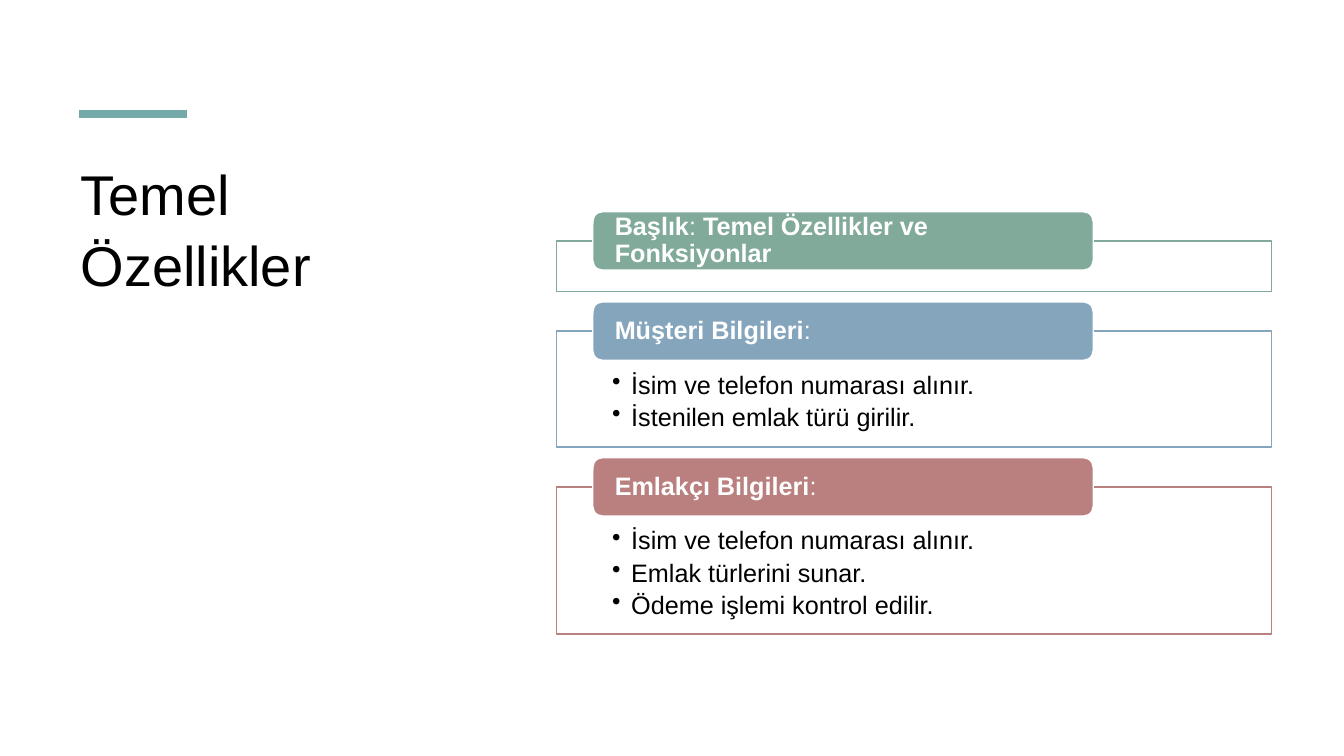
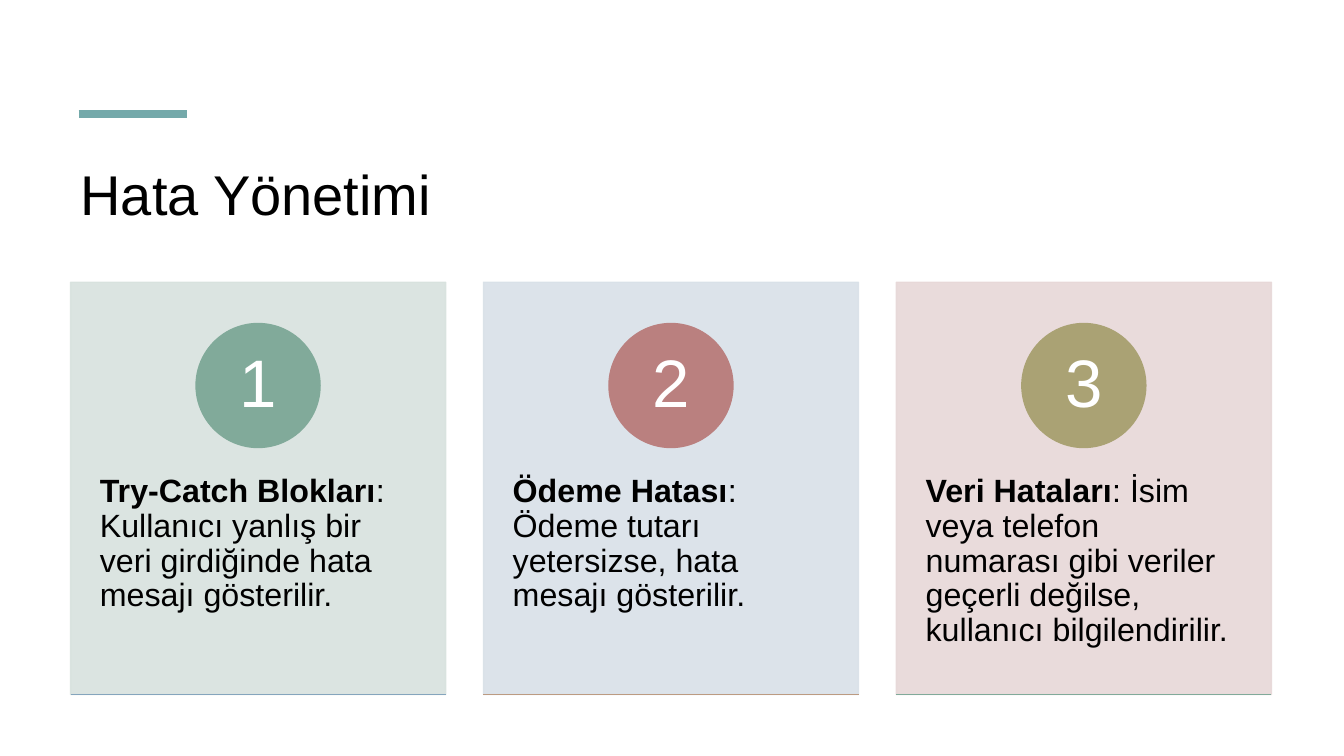
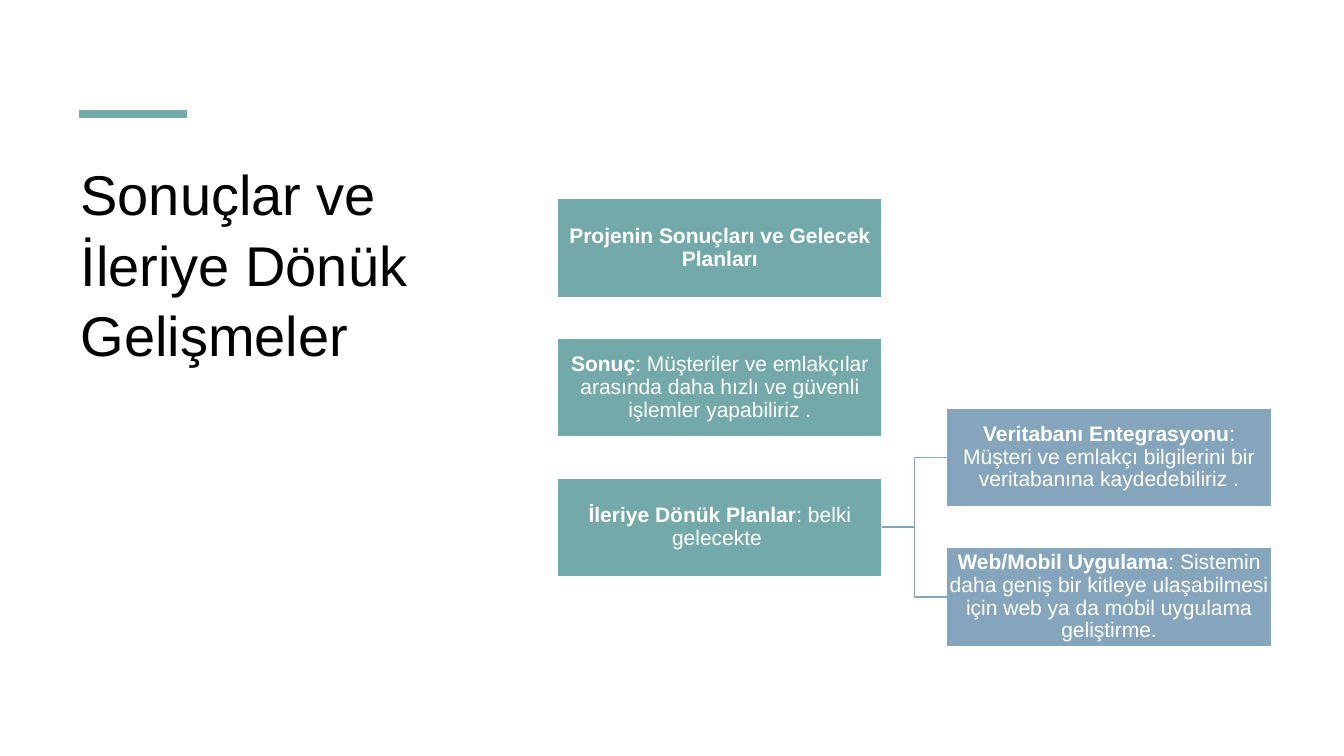
from lxml import etree
from pptx import Presentation
from pptx.dml.color import RGBColor
from pptx.enum.shapes import MSO_CONNECTOR, MSO_SHAPE
from pptx.enum.text import MSO_ANCHOR, PP_ALIGN
from pptx.oxml.ns import qn
from pptx.util import Inches, Pt

RECT, ROUND, OVAL = MSO_SHAPE.RECTANGLE, MSO_SHAPE.ROUNDED_RECTANGLE, MSO_SHAPE.OVAL
STRAIGHT, ELBOW = MSO_CONNECTOR.STRAIGHT, MSO_CONNECTOR.ELBOW
TOP, MIDDLE = MSO_ANCHOR.TOP, MSO_ANCHOR.MIDDLE
LEFT, CENTER = PP_ALIGN.LEFT, PP_ALIGN.CENTER

FONT = "Arial"
COLORS = {
    "text": "000000", "white": "FFFFFF", "teal": "74A9AA", "green": "81AA9A",
    "blue": "85A5BD", "red": "BA807F", "olive": "AAA274", "tan": "BC9B82",
    "pale_green": "D8E2DE", "pale_blue": "D9E1E8", "pale_red": "E7D8D8",
}
RIGHT_SITE, LEFT_SITE = 3, 1


def rgb(name):
    return RGBColor.from_string(COLORS[name])


def write(shape, paragraphs, size, color="white", insets=(0.1, 0.05, 0.1, 0.05),
          anchor=MIDDLE, align=LEFT, spacing=0.9, bullets=False):
    """Each paragraph is a plain string, or a tuple of runs: bold, regular, bold..."""
    tf = shape.text_frame
    tf.word_wrap = True
    tf.vertical_anchor = anchor
    tf.margin_left, tf.margin_top, tf.margin_right, tf.margin_bottom = map(Inches, insets)
    for i, content in enumerate(paragraphs):
        p = tf.add_paragraph() if i else tf.paragraphs[0]
        p.alignment, p.line_spacing = align, spacing
        p.font.name, p.font.size = FONT, Pt(size)
        p.font.color.rgb = rgb(color)
        if isinstance(content, str):
            p.add_run().text = content
        else:
            for j, text in enumerate(content):
                r = p.add_run()
                r.text, r.font.bold = text, j % 2 == 0
        if bullets:
            p.space_after = Pt(3.5)
            pPr = p._p.get_or_add_pPr()
            pPr.set("marL", str(Inches(0.19)))
            pPr.set("indent", str(-Inches(0.19)))
            bullet = etree.Element(qn("a:buChar"), char="•")
            pPr.find(qn("a:defRPr")).addprevious(bullet)


def add_box(s, kind, x, y, w, h, fill, line):
    box = s.shapes.add_shape(kind, Inches(x), Inches(y), Inches(w), Inches(h))
    box.shadow.inherit = False
    box.fill.solid()
    box.fill.fore_color.rgb = rgb(fill)
    box.line.color.rgb = rgb(line)
    box.line.width = Pt(1)
    return box


def set_opacity(shape, percent):
    for clr in shape._element.spPr.iter(qn("a:srgbClr")):
        etree.SubElement(clr, qn("a:alpha"), val=str(percent * 1000))


def add_line(s, kind, x1, y1, x2, y2, color, width=1):
    line = s.shapes.add_connector(kind, Inches(x1), Inches(y1), Inches(x2), Inches(y2))
    line.line.color.rgb = rgb(color)
    line.line.width = Pt(width)
    etree.SubElement(line._element.spPr, qn("a:effectLst"))
    return line


def add_titled_slide(prs, title, w, h):
    s = prs.slides.add_slide(prs.slide_layouts[6])
    add_line(s, STRAIGHT, 0.78, 1.13, 1.85, 1.13, "teal", 6)
    box = s.shapes.add_textbox(Inches(0.7), Inches(1.5), Inches(w), Inches(h))
    write(box, [title], 40, "text", anchor=TOP, spacing=1.05)
    return s


def add_section(s, x, y, w, h, color, heading, items):
    """A framed list whose heading tab straddles the top edge."""
    frame = add_box(s, RECT, x, y, w, h, "white", color)
    if items:
        write(frame, items, 18, "text", (0.55, 0.41, 0.55, 0.14), TOP, bullets=True)
    tab_h = 0.58
    tab = add_box(s, ROUND, x + 0.36, y - tab_h / 2, w * 0.7, tab_h, color, "white")
    write(tab, [heading], 18, insets=(0.19, 0, 0.19, 0))


def add_card(s, x, y, w, h, number, colors, text):
    fill, badge_color, base_color = colors
    card = add_box(s, RECT, x, y, w, h, fill, fill)
    set_opacity(card, 90)
    write(card, [text], 23, "text", (0.29, 1.91, 0.29, 0.36), TOP)
    d = 1.23
    badge = add_box(s, OVAL, x + (w - d) / 2, y + 0.41, d, d, badge_color, badge_color)
    write(badge, [str(number)], 48, insets=(0.1, 0.01, 0.1, 0.01), align=CENTER)
    add_line(s, STRAIGHT, x, y + h, x + w, y + h, base_color)


def add_tree(s, x, y, roots, children):
    """A column of roots; the children branch from the last one."""
    w, h, step, child_dx = 3.22, 0.98, 1.385, 3.86

    def add_node(left, top, color, text):
        node = add_box(s, RECT, left, top, w, h, color, "white")
        write(node, [text], 15, insets=(0.01,) * 4, align=CENTER)
        return node

    for i, text in enumerate(roots):
        parent_y = y + i * step
        parent = add_node(x, parent_y, "teal", text)
    first_y = parent_y - (len(children) - 1) * step / 2
    for i, text in enumerate(children):
        child_y = first_y + i * step
        child = add_node(x + child_dx, child_y, "blue", text)
        branch = add_line(s, ELBOW, x + w, parent_y + h / 2,
                          x + child_dx, child_y + h / 2, "blue")
        branch.begin_connect(parent, RIGHT_SITE)
        branch.end_connect(child, LEFT_SITE)


def build_features(prs):
    s = add_titled_slide(prs, "Temel Özellikler", 4.02, 4.29)
    sections = [
        (0.5, "green", ("Başlık", ": ", "Temel Özellikler ve Fonksiyonlar"), []),
        (1.15, "blue", ("Müşteri Bilgileri", ":"),
         ["İsim ve telefon numarası alınır.", "İstenilen emlak türü girilir."]),
        (1.46, "red", ("Emlakçı Bilgileri", ":"),
         ["İsim ve telefon numarası alınır.", "Emlak türlerini sunar.",
          "Ödeme işlemi kontrol edilir."]),
    ]
    y = 2.39
    for h, color, heading, items in sections:
        add_section(s, 5.52, y, 7.09, h, color, heading, items)
        y += h + 0.395


def build_errors(prs):
    s = add_titled_slide(prs, "Hata Yönetimi", 11.91, 1.2)
    cards = [
        (("pale_green", "green", "blue"),
         ("Try-Catch Blokları",
          ": Kullanıcı yanlış bir veri girdiğinde hata mesajı gösterilir.")),
        (("pale_blue", "red", "tan"),
         ("Ödeme Hatası", ": Ödeme tutarı yetersizse, hata mesajı gösterilir.")),
        (("pale_red", "olive", "green"),
         ("Veri Hataları", ": İsim veya telefon numarası gibi veriler geçerli değilse, "
          "kullanıcı bilgilendirilir.")),
    ]
    for i, (colors, text) in enumerate(cards):
        add_card(s, 0.7 + i * 4.095, 2.8, 3.72, 4.09, i + 1, colors, text)


def build_results(prs):
    s = add_titled_slide(prs, "Sonuçlar ve İleriye Dönük Gelişmeler", 4.02, 4.29)
    roots = [
        ("Projenin Sonuçları ve Gelecek Planları",),
        ("Sonuç", ": Müşteriler ve emlakçılar arasında daha hızlı ve güvenli "
         "işlemler yapabiliriz ."),
        ("İleriye Dönük Planlar", ": belki gelecekte "),
    ]
    children = [
        ("Veritabanı Entegrasyonu",
         ": Müşteri ve emlakçı bilgilerini bir veritabanına kaydedebiliriz ."),
        ("Web/Mobil Uygulama", ": Sistemin daha geniş bir kitleye ulaşabilmesi için "
         "web ya da mobil uygulama geliştirme."),
    ]
    add_tree(s, 5.53, 1.97, roots, children)


def main():
    prs = Presentation()
    prs.slide_width, prs.slide_height = Inches(13.33), Inches(7.5)
    build_features(prs)
    build_errors(prs)
    build_results(prs)
    prs.save("out.pptx")


if __name__ == "__main__":
    main()
